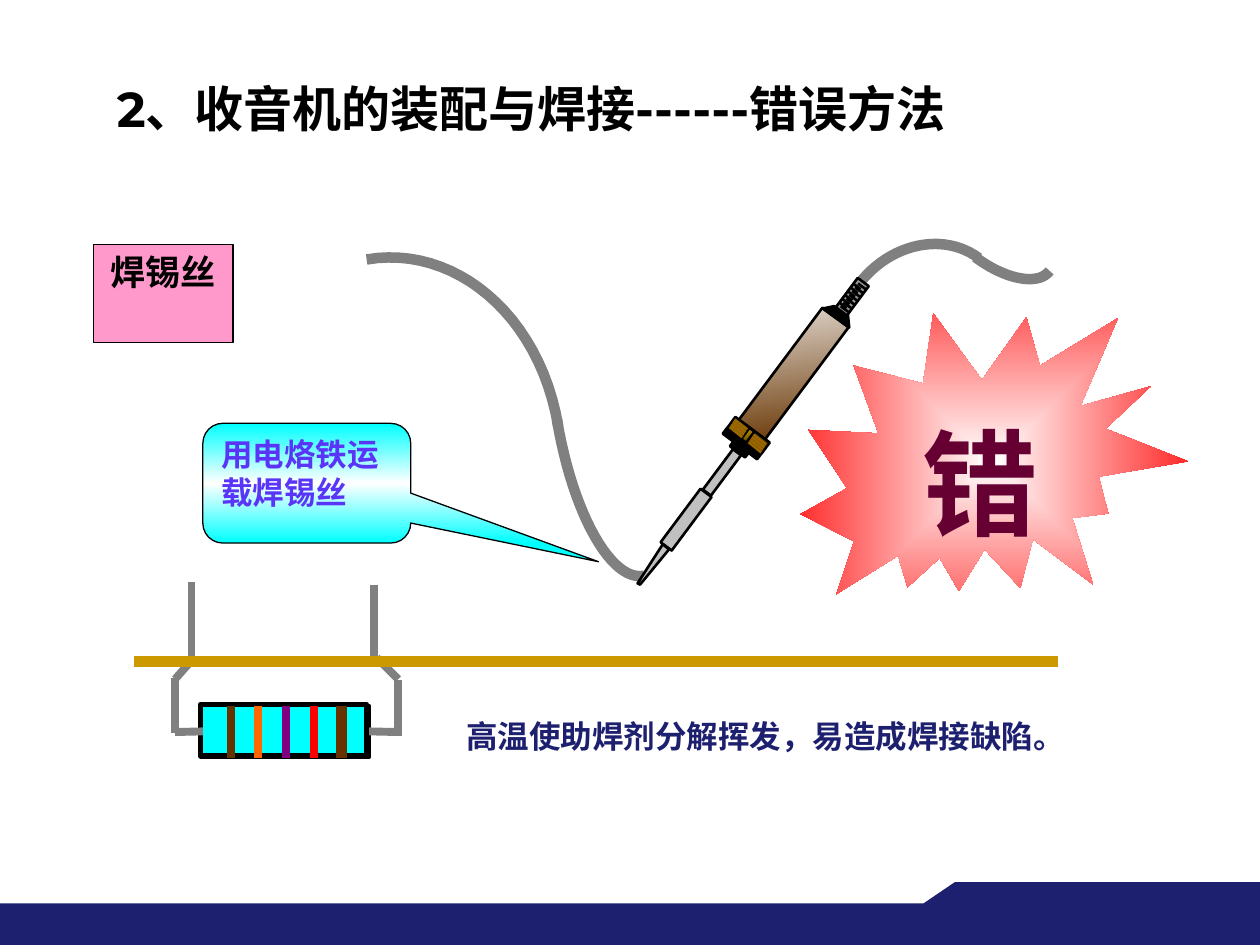
from dataclasses import dataclass
from typing import Any

from lxml import etree
from pptx import Presentation
from pptx.dml.color import RGBColor
from pptx.enum.shapes import MSO_CONNECTOR, MSO_SHAPE
from pptx.enum.text import MSO_ANCHOR, PP_ALIGN
from pptx.oxml.ns import qn
from pptx.util import Inches, Pt

RECT = MSO_SHAPE.RECTANGLE
CALLOUT = MSO_SHAPE.ROUNDED_RECTANGULAR_CALLOUT
SEAL = MSO_SHAPE.EXPLOSION2
STRAIGHT = MSO_CONNECTOR.STRAIGHT
TOP, MIDDLE = MSO_ANCHOR.TOP, MSO_ANCHOR.MIDDLE
LEFT, CENTER = PP_ALIGN.LEFT, PP_ALIGN.CENTER

BLACK = RGBColor(0x00, 0x00, 0x00)
WHITE = RGBColor(0xFF, 0xFF, 0xFF)
NAVY = RGBColor(0x1D, 0x1F, 0x6F)
PINK = RGBColor(0xFF, 0x99, 0xCC)
CYAN = RGBColor(0x00, 0xFF, 0xFF)
VIOLET = RGBColor(0x5A, 0x35, 0xF7)
GRAY = RGBColor(0x80, 0x80, 0x80)
SILVER = RGBColor(0xC0, 0xC0, 0xC0)
STEEL = RGBColor(0x96, 0x96, 0x96)
CREAM = RGBColor(0xE3, 0xDA, 0xD1)
BROWN = RGBColor(0x66, 0x33, 0x00)
BRASS = RGBColor(0x99, 0x66, 0x00)
UMBER = RGBColor(0x47, 0x2F, 0x00)
GOLD = RGBColor(0xCC, 0x99, 0x00)
OLIVE = RGBColor(0x5E, 0x47, 0x00)
RED = RGBColor(0xFF, 0x00, 0x00)
ORANGE = RGBColor(0xFF, 0x66, 0x00)
PURPLE = RGBColor(0x80, 0x00, 0x80)
WINE = RGBColor(0x66, 0x00, 0x33)

TILT = 36.7


def blend(shape, colors, angle=None):
    """Fill with evenly spaced colours, from the centre out if no angle."""
    shape.fill.gradient()
    grad = shape.fill._xPr.find(qn("a:gradFill"))
    for child in list(grad):
        grad.remove(child)
    stops = etree.SubElement(grad, qn("a:gsLst"))
    for i, color in enumerate(colors):
        pos = str(100000 * i // (len(colors) - 1))
        stop = etree.SubElement(stops, qn("a:gs"), pos=pos)
        etree.SubElement(stop, qn("a:srgbClr"), val=str(color))
    if angle is None:
        way = etree.SubElement(grad, qn("a:path"), {"path": "rect"})
        sides = {side: "50000" for side in "ltrb"}
        etree.SubElement(way, qn("a:fillToRect"), sides)
    else:
        etree.SubElement(grad, qn("a:lin"), ang=str(angle * 60000), scaled="1")


def write(shape, words, size, font, color, align=LEFT, anchor=TOP, wrap=True):
    frame = shape.text_frame
    frame.word_wrap = wrap
    frame.vertical_anchor = anchor
    para = frame.paragraphs[0]
    para.alignment = align
    run = para.add_run()
    run.text = words
    run.font.size, run.font.name, run.font.bold = Pt(size), font, True
    run.font.color.rgb = color


@dataclass
class Pen:
    """Draws into a shape tree, measuring in inches from (x, y)."""
    shapes: Any
    x: float
    y: float

    def spot(self, x, y):
        return Inches(self.x + x), Inches(self.y + y)

    def style(self, shape, fill, line, width):
        shape.shadow.inherit = False
        if fill is None:
            shape.fill.background()
        else:
            shape.fill.solid()
            shape.fill.fore_color.rgb = fill
        if line is None:
            shape.line.fill.background()
        else:
            shape.line.color.rgb = line
            shape.line.width = Pt(width)
        return shape

    def box(self, x, y, w, h, fill=None, line=None, width=0.75, kind=RECT, turn=0):
        shape = self.shapes.add_shape(kind, *self.spot(x, y), Inches(w), Inches(h))
        shape.rotation = turn
        return self.style(shape, fill, line, width)

    def text(self, x, y, w, h):
        return self.shapes.add_textbox(*self.spot(x, y), Inches(w), Inches(h))

    def line(self, x1, y1, x2, y2, color, width):
        link = self.shapes.add_connector(
            STRAIGHT, *self.spot(x1, y1), *self.spot(x2, y2))
        link.line.color.rgb = color
        link.line.width = Pt(width)
        etree.SubElement(link._element.spPr, qn("a:effectLst"))
        return link

    def rungs(self, count, start, step, span, color):
        """A ladder of equal short lines."""
        for i in range(count):
            x, y = (a + i * d for a, d in zip(start, step))
            self.line(x, y, x + span[0], y + span[1], color, 1.5)

    def outline(self, points, fill=None, line=None, width=1.5, close=True):
        spots = [self.spot(*p) for p in points]
        build = self.shapes.build_freeform(*spots[0])
        build.add_line_segments(spots[1:], close=close)
        return self.style(build.convert_to_shape(), fill, line, width)

    def cord(self, *knots):
        """A thick grey cubic curve through four control points."""
        points = []
        for i in range(25):
            t = i / 24
            parts = ((1 - t) ** 3, 3 * t * (1 - t) ** 2, 3 * t * t * (1 - t), t ** 3)
            points.append([sum(a * b for a, b in zip(parts, axis))
                           for axis in zip(*knots)])
        self.outline(points, line=GRAY, width=6, close=False)


def footer(shapes, x, y):
    pen = Pen(shapes.add_group_shape().shapes, x, y)
    pen.box(0, 0.17, 10, 0.33, NAVY)
    pen.outline([(7.33, 0.17), (7.58, 0), (10, 0), (10, 0.25), (7.33, 0.25)], NAVY)


def labels(shapes, x, y):
    pen = Pen(shapes, x, y)
    write(pen.text(0.83, 0.55, 8.58, 0.62), "2、收音机的装配与焊接------错误方法",
          28, "Montserrat", BLACK, anchor=MIDDLE)
    write(pen.box(0.74, 1.94, 1.11, 0.78, PINK, BLACK), "焊锡丝",
          20, "Montserrat", BLACK, CENTER)
    note = pen.box(1.61, 3.36, 1.65, 0.95, CYAN, BLACK, kind=CALLOUT)
    for i, value in enumerate((1.403, 0.656, 0.167)):
        note.adjustments[i] = value
    blend(note, [CYAN, WHITE, CYAN], 90)
    write(note, "用电烙铁运载焊锡丝", 18, "Times New Roman", VIOLET)


def solder(shapes, x, y):
    pen = Pen(shapes.add_group_shape().shapes, x, y)
    pen.cord((0.01, 0.06), (0.7, -0.06), (1.38, 0.49), (1.53, 1.38))
    pen.cord((2.21, 2.57), (1.96, 2.62), (1.65, 2.1), (1.52, 1.33))


def iron(shapes, x, y):
    pen = Pen(shapes.add_group_shape().shapes, x, y)
    pen.cord((1.82, 0.45), (2.07, 0.13), (2.49, 0.04), (2.77, 0.25))
    pen.cord((3.33, 0.35), (3.24, 0.47), (2.98, 0.42), (2.74, 0.24))

    def part(left, top, w, h, fill, end=None):
        shape = pen.box(left, top, w, h, fill, BLACK, 1.5, turn=TILT)
        if end is not None:
            blend(shape, [fill, end], 45)

    part(1.17, 0.61, 0.26, 1.11, CREAM, BROWN)
    pen.outline([(1.53, 0.65), (1.62, 0.63), (1.73, 0.7), (1.74, 0.8)], BLACK, BLACK)
    part(0.77, 1.6, 0.34, 0.11, BRASS, UMBER)
    part(0.72, 1.69, 0.34, 0.06, BLACK)
    part(0.79, 1.75, 0.15, 0.04, BLACK)
    part(0.69, 1.75, 0.08, 0.4, SILVER)
    part(0.39, 2.06, 0.11, 0.53, SILVER)
    pen.outline([(0.26, 2.52), (0.06, 2.83), (0.08, 2.84), (0.31, 2.56)], SILVER, BLACK)
    part(1.71, 0.41, 0.11, 0.29, STEEL)
    pen.rungs(7, (1.81, 0.45), (-0.023, 0.03), (0.06, 0.045), BLACK)
    pen.rungs(6, (1.77, 0.45), (-0.022, 0.03), (0.06, 0.045), BLACK)
    part(0.91, 1.6, 0.05, 0.11, GOLD, OLIVE)
    for start in ((0.83, 1.53), (0.98, 1.65)):
        pen.rungs(4, start, (-0.013, 0.02), (0.1, 0.08), BRASS)


def burst(shapes, x, y):
    pen = Pen(shapes.add_group_shape().shapes, x, y)
    blend(pen.box(0, 0, 2.91, 2.83, RED, kind=SEAL, turn=20.4), [WHITE, RED])
    write(pen.text(0.8, 0.97, 1.12, 1.2), "错", 66, "Times New Roman", WINE)


def resistor(shapes, x, y):
    pen = Pen(shapes.add_group_shape().shapes, x, y)
    back = pen.box(0.23, 0.98, 1.32, 0.41, WHITE, BLACK, 2.25)
    pen.box(0.21, 0.97, 1.32, 0.41, CYAN, BLACK, 3)
    for x1, x2, side in ((0.23, 0.01, 1), (1.55, 1.78, 3)):
        pen.line(x1, 1.19, x2, 1.19, GRAY, 4.5).begin_connect(back, side)
    for i, color in enumerate((BROWN, ORANGE, PURPLE, RED, BROWN)):
        band = 0.45 + 0.22 * i
        pen.line(band, 0.98, band, 1.4, color, 6 if i == 4 else 4.5)
    for top, bend, foot, drop in ((0.14, 0.16, 0.01, 0), (1.59, 1.61, 1.78, 0.02)):
        pen.line(top, 0.6 + drop, top, drop, GRAY, 4.5)
        pen.line(bend, 0.6, foot, 0.77, GRAY, 4.5)
        pen.line(foot, 0.76 + drop, foot, 1.2 + drop, GRAY, 4.5)


def board(shapes, x, y):
    pen = Pen(shapes, x, y)
    pen.line(0, 0, 7.34, 0, GOLD, 6)
    write(pen.text(2.54, 0.39, 4.95, 0.4), "高温使助焊剂分解挥发，易造成焊接缺陷。",
          18, "Arial", NAVY, wrap=False)


def main():
    deck = Presentation()
    deck.slide_width, deck.slide_height = Inches(10), Inches(7.5)
    shapes = deck.slides.add_slide(deck.slide_layouts[6]).shapes
    footer(shapes, 0, 7)
    labels(shapes, 0, 0)
    solder(shapes, 2.9, 2)
    iron(shapes, 5, 1.8)
    burst(shapes, 6.42, 2.25)
    resistor(shapes, 1.38, 4.62)
    board(shapes, 1.06, 5.25)
    deck.save("out.pptx")


if __name__ == "__main__":
    main()
